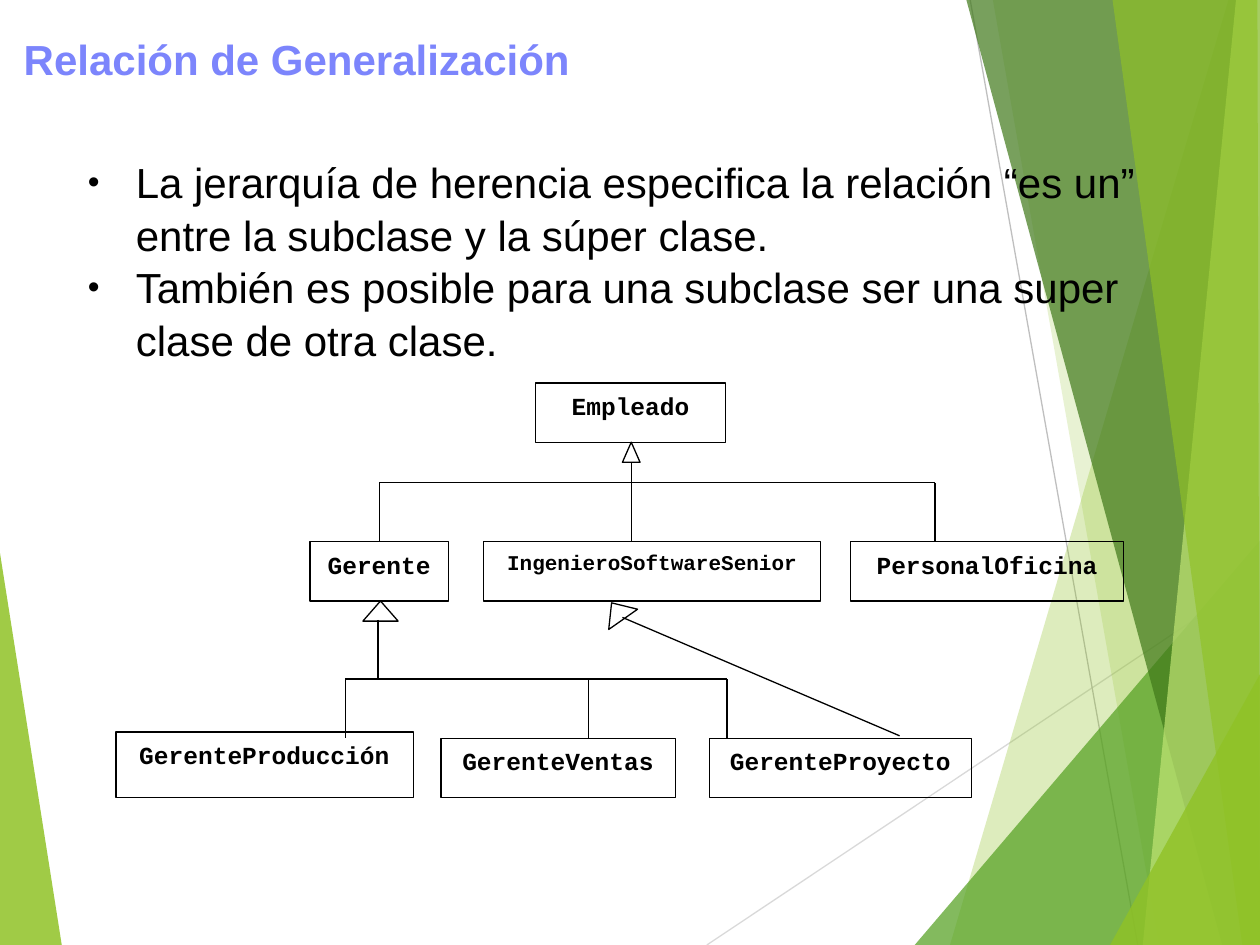
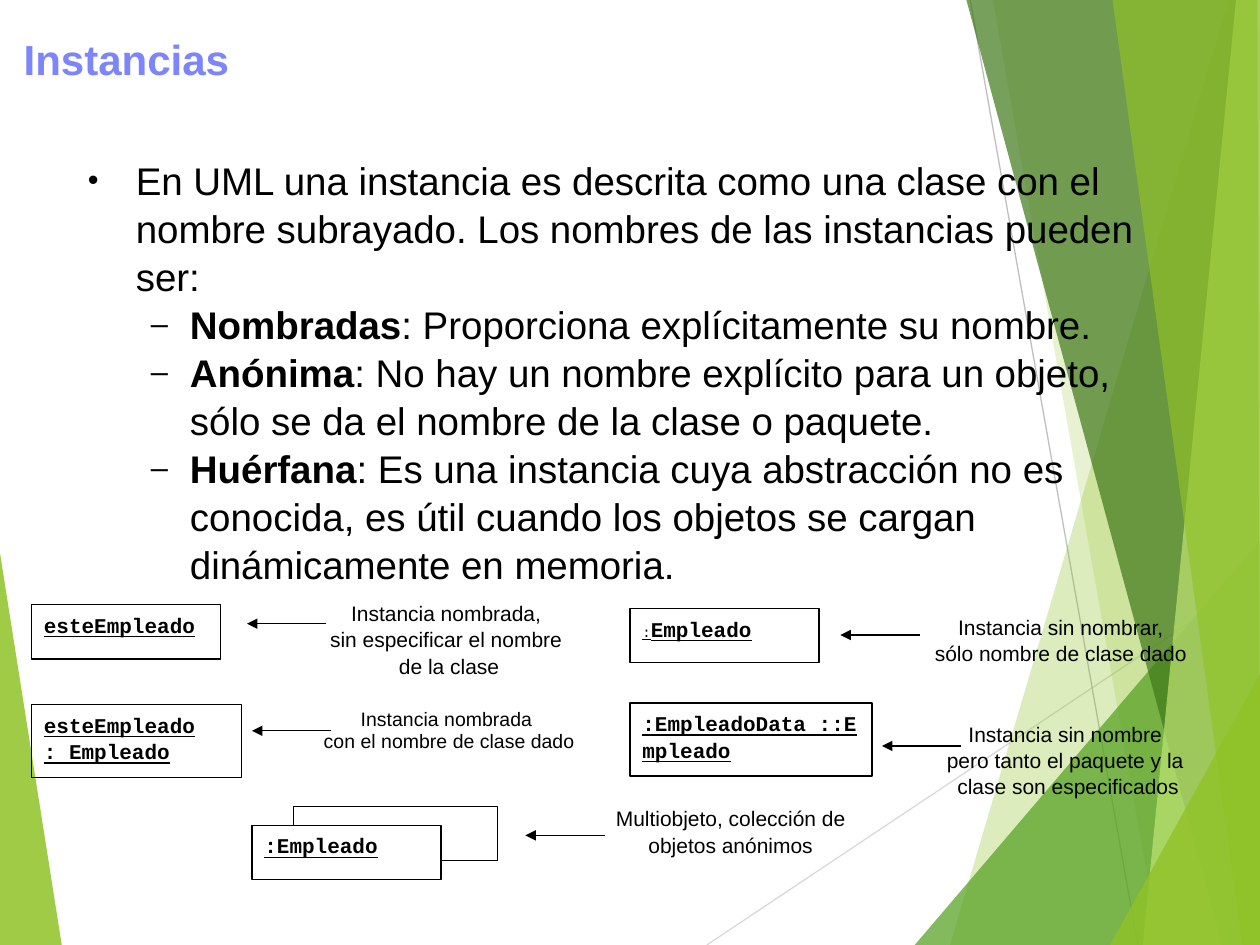
"""Builds two slides on UML generalization and instances."""
from lxml.etree import SubElement
from pptx import Presentation
from pptx.dml.color import RGBColor
from pptx.enum.shapes import MSO_CONNECTOR, MSO_SHAPE
from pptx.enum.text import MSO_ANCHOR, PP_ALIGN
from pptx.oxml.ns import qn
from pptx.util import Inches, Pt

COLUMNS, ROWS = 10, 7.5
BLACK, WHITE, TITLE_BLUE = "000000", "FFFFFF", "7C85FC"
LEAF, GRASS, FOREST, LIME = "90C226", "54A021", "3F7819", "C0E474"
SANS, MONO = "Arial", "Courier New"
THIN = Pt(0.75)
rgb = RGBColor.from_string

deck = Presentation()
deck.slide_width, deck.slide_height = Inches(10), Inches(7.5)
CELL = deck.slide_width / COLUMNS


def write(slide, area, paragraphs, size=12, font=SANS, color=BLACK, bold=False, underline=False,
          align=PP_ALIGN.LEFT, spacing=1.04, anchor=MSO_ANCHOR.TOP, boxed=False, fill=None):
    place = [round(length * CELL) for length in area]
    if boxed:
        holder = slide.shapes.add_shape(MSO_SHAPE.RECTANGLE, *place)
        holder.shadow.inherit = False
        holder.line.color.rgb, holder.line.width = rgb(BLACK), THIN
        if fill:
            holder.fill.solid()
            holder.fill.fore_color.rgb = rgb(fill)
        else:
            holder.fill.background()
    else:
        holder = slide.shapes.add_textbox(*place)
    frame = holder.text_frame
    frame.word_wrap, frame.vertical_anchor = True, anchor
    for index, pieces in enumerate(paragraphs):
        paragraph = frame.add_paragraph() if index else frame.paragraphs[0]
        paragraph.text = pieces[0]
        for piece in pieces[1:]:
            paragraph.add_run().text = piece
        paragraph.alignment, paragraph.line_spacing = align, spacing
        for run in paragraph.runs:
            run.font.size, run.font.name, run.font.color.rgb = Pt(size), font, rgb(color)
            run.font.bold, run.font.underline = bold, underline
    return holder


def link(slide, x1, y1, x2, y2, color=BLACK, arrow=False):
    ends = [round(length * CELL) for length in (x1, y1, x2, y2)]
    line = slide.shapes.add_connector(MSO_CONNECTOR.STRAIGHT, *ends)
    line.line.color.rgb, line.line.width = rgb(color), THIN
    if arrow:
        SubElement(line.line._get_or_add_ln(), qn("a:tailEnd"), type="triangle")
    SubElement(line._element.spPr, qn("a:effectLst"))
    return line


facets = [
    (LEAF, 85, [(0, 4.39), (0.49, ROWS), (0, ROWS)]),
    (LEAF, 30, [(9.75, 0), (7.54, ROWS), (COLUMNS, ROWS), (COLUMNS, 0)]),
    (LEAF, 20, [(7.88, 0), (9.2, ROWS), (COLUMNS, ROWS), (COLUMNS, 0)]),
    (GRASS, 72, [(7.26, ROWS), (COLUMNS, 4.29), (COLUMNS, ROWS)]),
    (FOREST, 70, [(7.67, 0), (9.7, ROWS), (COLUMNS, ROWS), (COLUMNS, 0)]),
    (LIME, 70, [(9.81, 0), (9.07, ROWS), (COLUMNS, ROWS), (COLUMNS, 0)]),
    (LEAF, 65, [(8.83, 0), (9.86, ROWS), (COLUMNS, ROWS), (9.98, 0)]),
    (LEAF, 80, [(8.81, ROWS), (COLUMNS, 5.35), (COLUMNS, ROWS)]),
]
lessons = [
    ("Relación de Generalización", 24, [
        ["La jerarquía de herencia especifica la relación “es un” entre la subclase y la súper clase."],
        ["También es posible para una subclase ser una super clase de otra clase."],
    ]),
    ("Instancias", 22, [
        ["En UML una instancia es descrita como una clase con el nombre subrayado. "
         "Los nombres de las instancias pueden ser:"],
        ["Nombradas", ": Proporciona explícitamente su nombre."],
        ["Anónima", ": No hay un nombre explícito para un objeto, "
         "sólo se da el nombre de la clase o paquete."],
        ["Huérfana", ": Es una instancia cuya abstracción no es conocida, "
         "es útil cuando los objetos se cargan dinámicamente en memoria."],
    ]),
]

for title, size, points in lessons:
    slide = deck.slides.add_slide(deck.slide_layouts[6])
    for order, (color, opacity, corners) in enumerate(facets):
        if order == 1:
            link(slide, 5.61, ROWS, COLUMNS, 4.57, "D9D9D9")
            link(slide, 7.7, 0, 9.03, ROWS, "BFBFBF")
        outline = [(round(x * CELL), round(y * CELL)) for x, y in corners]
        builder = slide.shapes.build_freeform(*outline[0])
        builder.add_line_segments(outline[1:])
        facet = builder.convert_to_shape()
        facet.shadow.inherit = False
        facet.fill.solid()
        facet.fill.fore_color.rgb = rgb(color)
        tint = facet._element.spPr.find(".//" + qn("a:srgbClr"))
        SubElement(tint, qn("a:alpha"), val=str(opacity * 1000))
        facet.line.fill.background()
    write(slide, (0.09, 0.09, 9.8, 0.63), [[title]], 24, color=TITLE_BLUE, bold=True,
          spacing=0.9, anchor=MSO_ANCHOR.BOTTOM)
    body = write(slide, (0.6, 1.18, 8.8, 5.38), points, size)
    for paragraph in body.text_frame.paragraphs:
        nested = len(paragraph.runs) > 1
        margin, hang, mark = (0.81, 0.31, "–") if nested else (0.38, 0.38, "•")
        paragraph.level = int(nested)
        paragraph.runs[0].font.bold = nested
        layout = paragraph._p.get_or_add_pPr()
        layout.set("marL", str(Inches(margin)))
        layout.set("indent", str(-Inches(hang)))
        SubElement(SubElement(layout, qn("a:buClr")), qn("a:srgbClr"), val=BLACK)
        SubElement(layout, qn("a:buSzPct"), val="80000")
        SubElement(layout, qn("a:buFont"), typeface=SANS)
        SubElement(layout, qn("a:buChar"), char=mark)

generalization, instances = deck.slides

STAFF_ROW, MANAGER_ROW, BOX_HEIGHT = 4.3, 5.86, 0.47
STAFF_BUS, MANAGER_BUS = 3.83, 5.39
classes = {}
for name, left, top, width, height, size in [
    ("Empleado", 4.25, 3.04, 1.51, BOX_HEIGHT, 14),
    ("Gerente", 2.46, STAFF_ROW, 1.1, BOX_HEIGHT, 14),
    ("IngenieroSoftwareSenior", 3.84, STAFF_ROW, 2.67, BOX_HEIGHT, 12),
    ("PersonalOficina", 6.75, STAFF_ROW, 2.17, BOX_HEIGHT, 14),
    ("GerenteProducción", 0.92, 5.81, 2.36, 0.52, 14),
    ("GerenteVentas", 3.5, MANAGER_ROW, 1.86, BOX_HEIGHT, 14),
    ("GerenteProyecto", 5.63, MANAGER_ROW, 2.08, BOX_HEIGHT, 14),
]:
    classes[name] = write(generalization, (left, top, width, height), [[name]], size, MONO,
                          bold=True, align=PP_ALIGN.CENTER, spacing=1.06, boxed=True)

for left, top, width, turn in [(4.94, 3.51, 0.14, 0), (2.88, 4.77, 0.28, 0), (4.76, 4.77, 0.28, 325)]:
    head = generalization.shapes.add_shape(
        MSO_SHAPE.ISOSCELES_TRIANGLE, *[round(n * CELL) for n in (left, top, width, 0.16)])
    head.shadow.inherit = False
    head.fill.background()
    head.line.color.rgb, head.line.width = rgb(BLACK), THIN
    head.rotation = turn

link(generalization, 3.01, STAFF_BUS, 7.42, STAFF_BUS)
link(generalization, 7.42, STAFF_BUS, 7.42, STAFF_ROW)
link(generalization, 5.01, 3.67, 5.01, STAFF_ROW)
link(generalization, 3.01, STAFF_BUS, 3.01, STAFF_ROW).end_connect(classes["Gerente"], 0)
link(generalization, 3, 4.92, 3, MANAGER_BUS)
link(generalization, 2.74, MANAGER_BUS, 5.77, MANAGER_BUS)
for x in (2.74, 4.67, 5.77):
    link(generalization, x, MANAGER_BUS, x, MANAGER_ROW)
link(generalization, 4.94, 4.9, 7.14, 5.84)

write(instances, (2.33, 6.4, 1.62, 0.43), [], boxed=True, fill=WHITE)
for area, names, fill in [
    ((0.25, 4.8, 1.5, 0.43), [["esteEmpleado"]], None),
    ((0.25, 5.59, 1.67, 0.58), [["esteEmpleado"], [": Empleado"]], None),
    ((5, 4.83, 1.5, 0.43), [[":", "Empleado"]], None),
    ((5, 5.58, 1.92, 0.58), [[":EmpleadoData ::E\vmpleado"]], None),
    ((2, 6.55, 1.5, 0.43), [[":Empleado"]], WHITE),
]:
    example = write(instances, area, names, 12, MONO, bold=True, underline=True,
                    spacing=1.06, boxed=True, fill=fill)
    if len(names[0]) > 1:
        colon = example.text_frame.paragraphs[0].runs[0]
        colon.font.size, colon.font.bold = Pt(8), False

for tip, y in [(1.96, 4.95), (2, 5.8), (6.67, 5.04), (7, 5.92), (4.17, 6.63)]:
    link(instances, tip + 0.63, y, tip, y, arrow=True)

for area, lines, size, spacing in [
    ((2.25, 4.71, 2.63, 0.71),
     ["Instancia nombrada, ", "sin especificar el nombre ", "de la clase"], 12, 1.04),
    ((2.25, 5.58, 2.63, 0.5), ["Instancia nombrada ", "con el nombre de clase dado"], 11.1, 0.94),
    ((7.17, 4.82, 2.5, 0.52), ["Instancia sin nombrar,", "sólo nombre de clase dado"], 12, 1.04),
    ((7.33, 5.67, 2.25, 0.72),
     ["Instancia sin nombre", "pero tanto el paquete y la", " clase son especificados"], 12, 1.04),
    ((4.55, 6.34, 2.5, 0.57), ["Multiobjeto, colección de objetos anónimos"], 12, 1.04),
]:
    write(instances, area, [[line] for line in lines], size, align=PP_ALIGN.CENTER, spacing=spacing)

deck.save("out.pptx")
